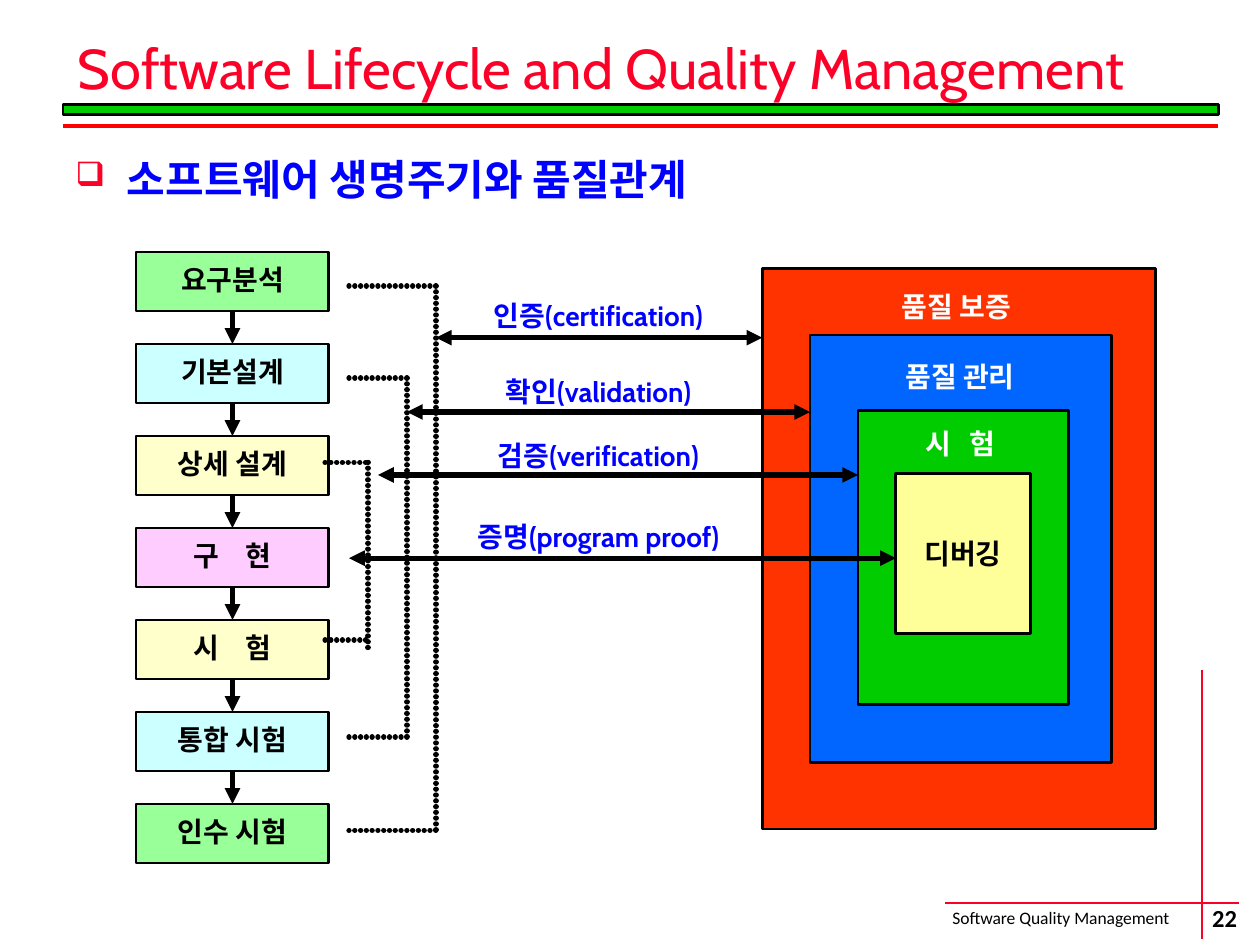
"""Build a slide relating the software lifecycle to quality management."""
from lxml import etree
from pptx import Presentation
from pptx.dml.color import RGBColor
from pptx.enum import shapes, text
from pptx.oxml import ns
from pptx.util import Inches, Pt

BLACK = RGBColor(0x00, 0x00, 0x00)
WHITE = RGBColor(0xFF, 0xFF, 0xFF)
CRIMSON = RGBColor(0xFC, 0x01, 0x28)
RED = RGBColor(0xFF, 0x00, 0x00)
BLUE = RGBColor(0x00, 0x00, 0xFF)
GREEN = RGBColor(0x00, 0xCC, 0x00)
ORANGE = RGBColor(0xFF, 0x33, 0x00)
AZURE = RGBColor(0x00, 0x66, 0xFF)
YELLOW = RGBColor(0xFF, 0xFF, 0x99)
MINT = RGBColor(0x99, 0xFF, 0x99)
SKY = RGBColor(0xCC, 0xFF, 0xFF)
CREAM = RGBColor(0xFF, 0xFF, 0xCC)
PINK = RGBColor(0xFF, 0xCC, 0xFF)

LATIN, KOREAN, FOOT = "Cabin", "Noto Sans CJK KR", "Calibri"
MID, LEFT = text.PP_ALIGN.CENTER, text.PP_ALIGN.LEFT

STEPS = [("요구분석", MINT, 0), ("기본설계", SKY, 0), ("상세 설계", CREAM, 0),
         ("구 현", PINK, 11), ("시 험", CREAM, 11), ("통합 시험", SKY, 0),
         ("인수 시험", MINT, 0)]
STEP_X, STEP_Y, STEP_W, STEP_H, PITCH = 1.08, 2, 1.53, 0.47, 0.73

LAYERS = [((6.05, 2.13, 3.12, 4.45), ORANGE), ((6.43, 2.66, 2.39, 3.39), AZURE),
          ((6.81, 3.26, 1.67, 2.33), GREEN), ((7.11, 3.76, 1.07, 1.27), YELLOW)]
TITLES = [("품질 보증", 7.59, 2.25, 0), ("품질 관리", 7.62, 2.8, 0),
          ("시 험", 7.62, 3.33, 7)]
TITLE_W = 1.6
BRACES = [(2.58, 2.92, 3.67, 5.08, 5.17), (2.77, 3.23, 3, 5.85, 5.85),
          (2.77, 3.46, 2.27, 6.59, 6.59)]
LINKS = [("인증(certification)", 2.32, 3.46, 6.05, 2.68),
         ("확인(validation)", 2.92, 3.23, 6.43, 3.27),
         ("검증(verification)", 3.43, 3, 6.81, 3.77),
         ("증명(program proof)", 4.07, 2.77, 7.11, 4.43)]
LINK_MID, LINK_W = 4.75, 2.6


def add(node, tag, **attrs):
    """Append a drawing element with the given attributes."""
    part = etree.SubElement(node, ns.qn(tag))
    for name, value in attrs.items():
        part.set(name, value)
    return part


def write(shape, words, size=16, color=BLACK, bold=True, font=LATIN, align=MID,
          anchor=text.MSO_ANCHOR.MIDDLE, wrap=False, inset=0.1, lead=None, gap=0):
    """Put formatted words in a shape and return the paragraph."""
    frame = shape.text_frame
    frame.word_wrap = wrap
    frame.vertical_anchor = anchor
    frame.margin_left = frame.margin_right = Inches(inset)
    frame.margin_top = frame.margin_bottom = Inches(inset / 2)
    para = frame.paragraphs[0]
    para.alignment = align
    if lead:
        para.line_spacing = lead
    for piece in words.partition(" ") if gap else [words]:
        run = para.add_run()
        run.text = piece
        run.font.size = Pt(size)
        run.font.bold = bold
        run.font.name = font
        run.font.color.rgb = color
        props = run._r.get_or_add_rPr()
        add(props, "a:ea", typeface=KOREAN)
        if piece == " ":
            props.set("spc", str(gap * 100))
    return para


def label(slide, words, x, y, w, h, **style):
    """Add a text box with formatted words."""
    box = slide.shapes.add_textbox(Inches(x), Inches(y), Inches(w), Inches(h))
    return write(box, words, **style)


def block(slide, x, y, w, h, fill):
    """Add a filled rectangle with a black outline."""
    rect = slide.shapes.add_shape(shapes.MSO_SHAPE.RECTANGLE,
                                  Inches(x), Inches(y), Inches(w), Inches(h))
    rect.shadow.inherit = False
    rect.fill.solid()
    rect.fill.fore_color.rgb = fill
    rect.line.color.rgb = BLACK
    rect.line.width = Pt(1.5)
    return rect


def line(slide, x1, y1, x2, y2, color=BLACK, width=3, dots=False, ends=()):
    """Add a straight line, optionally dotted or with arrowheads."""
    link = slide.shapes.add_connector(shapes.MSO_CONNECTOR.STRAIGHT,
                                      Inches(x1), Inches(y1), Inches(x2), Inches(y2))
    link.line.color.rgb = color
    link.line.width = Pt(width)
    props = link.element.find(ns.qn("p:spPr"))
    stroke = props.find(ns.qn("a:ln"))
    if dots:
        stroke.set("cap", "rnd")
        add(add(stroke, "a:custDash"), "a:ds", d="100000", sp="10000")
    for end in ends:
        add(stroke, end, type="triangle")
    add(props, "a:effectLst")


def frame(slide):
    """Add the header rules, title, heading and footer."""
    line(slide, 7.5, 7.17, 9.83, 7.17, color=CRIMSON, width=1.25)
    line(slide, 9.54, 5.32, 9.54, 7.45, color=CRIMSON, width=1.25)
    label(slide, "Software Quality Management", 7.46, 7.15, 2.19, 0.27, size=10,
          bold=False, font=FOOT, align=LEFT, anchor=text.MSO_ANCHOR.TOP)
    label(slide, "22", 9.22, 7.15, 1, 0.27, size=14, font=FOOT, inset=0)
    block(slide, 0.5, 0.83, 9.17, 0.08, GREEN)
    line(slide, 0.5, 1, 9.67, 1, color=RED, width=2.25)
    label(slide, "Software Lifecycle and Quality Management", 0.52, 0.35, 9.3, 0.44,
          size=32, color=CRIMSON, bold=False, align=LEFT, wrap=True, lead=0.9)
    head = label(slide, "소프트웨어 생명주기와 품질관계", 0.5, 1.17, 9.17, 6.02, size=24,
                 color=BLUE, font=KOREAN, align=LEFT, wrap=True,
                 anchor=text.MSO_ANCHOR.TOP)
    head.space_before = Pt(18)
    props = head._p.get_or_add_pPr()
    props.set("marL", str(Inches(0.41)))
    props.set("indent", str(-Inches(0.41)))
    add(add(props, "a:buClr"), "a:srgbClr", val=str(CRIMSON))
    add(props, "a:buSzPct", val="80000")
    add(props, "a:buChar", char="❑")


def layers(slide):
    """Add the nested quality layers with their titles."""
    for place, fill in LAYERS:
        core = block(slide, *place, fill)
    write(core, "디버깅")
    for words, mid, y, gap in TITLES:
        label(slide, words, mid - TITLE_W / 2, y, TITLE_W, 0.37, color=WHITE, gap=gap)


def steps(slide):
    """Add the column of lifecycle steps joined by arrows."""
    mid = STEP_X + STEP_W / 2
    for i, (words, fill, gap) in enumerate(STEPS):
        y = STEP_Y + i * PITCH
        write(block(slide, STEP_X, y, STEP_W, STEP_H, fill), words, lead=0.9, gap=gap)
        if i:
            line(slide, mid, y - PITCH + STEP_H, mid, y, ends=["a:tailEnd"])


def links(slide):
    """Add the dotted braces and the labelled arrows to the layers."""
    for x, edge, top, low, end in BRACES:
        for y in (top, low):
            line(slide, x, y, edge, y, dots=True)
        line(slide, edge, top, edge, end, dots=True)
    for words, top, x1, x2, y in LINKS:
        line(slide, x1, y, x2, y, ends=["a:headEnd", "a:tailEnd"])
        label(slide, words, LINK_MID - LINK_W / 2, top, LINK_W, 0.37, color=BLUE)


def main():
    """Build and save the slide."""
    deck = Presentation()
    deck.slide_width, deck.slide_height = Inches(10), Inches(7.5)
    slide = deck.slides.add_slide(deck.slide_layouts[6])
    frame(slide)
    layers(slide)
    steps(slide)
    links(slide)
    deck.save("out.pptx")


if __name__ == "__main__":
    main()
